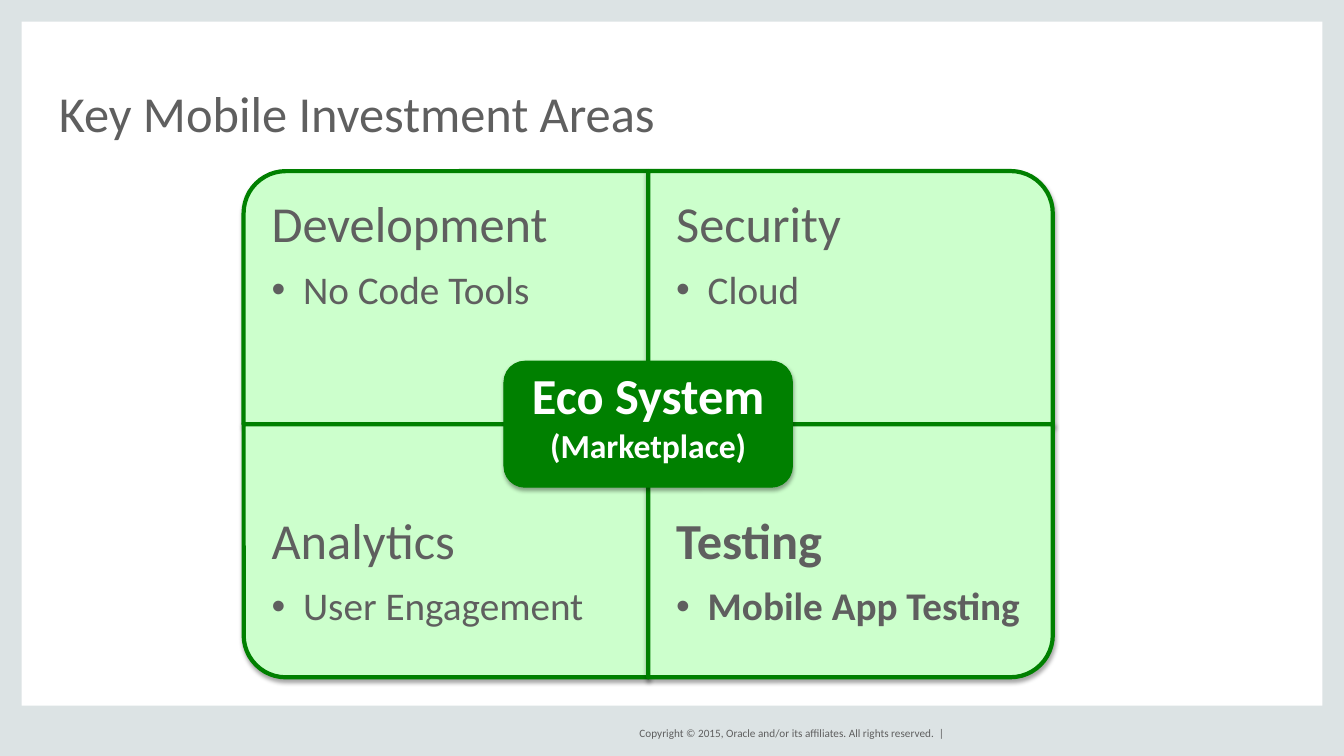
from lxml import etree
from pptx import Presentation
from pptx.dml.color import RGBColor
from pptx.enum.shapes import MSO_SHAPE
from pptx.enum.text import MSO_ANCHOR, MSO_AUTO_SIZE, PP_ALIGN
from pptx.oxml.ns import qn
from pptx.util import Pt

RECT = MSO_SHAPE.RECTANGLE
ROUND = MSO_SHAPE.ROUNDED_RECTANGLE
CORNER = MSO_SHAPE.ROUND_1_RECTANGLE
TOP, MID, BASE = MSO_ANCHOR.TOP, MSO_ANCHOR.MIDDLE, MSO_ANCHOR.BOTTOM
LEFT, CENTER, RIGHT = PP_ALIGN.LEFT, PP_ALIGN.CENTER, PP_ALIGN.RIGHT
NOFIT = MSO_AUTO_SIZE.NONE

WIDE, HIGH = 960, 540
GRAY, PALE, GREEN, LIME, WHITE = "5F5F5F", "DCE3E4", "008000", "CCFFCC", "FFFFFF"


def color(code):
    return RGBColor.from_string(code)


class Deck:
    font = "Calibri"

    def __init__(self):
        self.file = Presentation()
        self.file.slide_width = Pt(WIDE)
        self.file.slide_height = Pt(HIGH)
        self.slide = self.file.slides.add_slide(self.file.slide_layouts[5])

    def shape(self, kind, x, y, w, h, fill, line=None, width=0, turn=0):
        item = self.slide.shapes.add_shape(kind, Pt(x), Pt(y), Pt(w), Pt(h))
        item.shadow.inherit = False
        item.rotation = turn
        item.fill.solid()
        item.fill.fore_color.rgb = color(fill)
        if line:
            item.line.color.rgb = color(line)
            item.line.width = Pt(width)
        else:
            item.line.fill.background()
        return item

    def shade(self, item):
        effects = item._element.spPr.find(qn("a:effectLst"))
        outer = etree.SubElement(
            effects, qn("a:outerShdw"), blurRad=str(Pt(3.1)),
            dist=str(Pt(1.8)), dir="5400000", rotWithShape="0")
        tint = etree.SubElement(outer, qn("a:srgbClr"), val="000000")
        etree.SubElement(tint, qn("a:alpha"), val="35000")

    def box(self, x, y, w, h):
        return self.slide.shapes.add_textbox(Pt(x), Pt(y), Pt(w), Pt(h))

    def frame(self, item, inset=0, anchor=TOP, wrap=True):
        frame = item.text_frame
        frame.auto_size = NOFIT
        frame.word_wrap = wrap
        frame.vertical_anchor = anchor
        frame.margin_left = frame.margin_right = Pt(inset)
        frame.margin_top = frame.margin_bottom = Pt(inset)
        return frame

    def line(self, frame, text, size, code=GRAY, bold=False, align=LEFT,
             space=1, after=0, dot=False):
        first = frame.paragraphs[0]
        para = frame.add_paragraph() if first.runs else first
        para.alignment = align
        para.line_spacing = space
        para.space_after = Pt(after)
        if dot:
            props = para._p.get_or_add_pPr()
            props.set("marL", str(Pt(22.5)))
            props.set("indent", str(Pt(-22.5)))
            etree.SubElement(props, qn("a:buFont"), typeface="Arial")
            etree.SubElement(props, qn("a:buChar"), char="•")
        run = para.add_run()
        run.text = text
        run.font.name = self.font
        run.font.size = Pt(size)
        run.font.bold = bold
        run.font.color.rgb = color(code)

    def title(self, text, x, y, w, h):
        item = self.slide.shapes.title
        item.left, item.top, item.width, item.height = Pt(x), Pt(y), Pt(w), Pt(h)
        self.line(self.frame(item, anchor=BASE), text, 36, space=0.8)

    def panel(self, x, y, w, h, turn):
        if turn % 180:
            x, y, w, h = x + (w - h) / 2, y + (h - w) / 2, h, w
        self.shade(self.shape(CORNER, x, y, w, h, LIME, GREEN, 3, turn))

    def topic(self, x, y, w, h, head, point, bold):
        frame = self.frame(self.box(x, y, w, h), 20)
        self.line(frame, head, 36, bold=bold, space=0.9, after=12)
        self.line(frame, point, 28, bold=bold, space=0.9, dot=True)


def main():
    deck = Deck()
    edge = 15.4
    for x, y, w, h in (
        (0, 0, edge, HIGH),
        (WIDE - edge, 0, edge, HIGH),
        (0, 504, WIDE, 36),
        (0, 0, WIDE, edge),
    ):
        deck.shape(RECT, x, y, w, h, PALE)
    note = deck.frame(deck.box(423, 516.5, 252, 14.4), anchor=MID, wrap=False)
    deck.line(note, "Copyright © 2015, Oracle and/or its affiliates. "
              "All rights reserved.  |", 8, align=RIGHT)
    deck.title("Key Mobile Investment Areas", 42, 31.7, 876, 69.8)

    mid_x, mid_y = 463, 303
    wide, high, deep = 289, 180.8, 135.6
    areas = (
        (0, 0, 270, "Development", "No Code Tools", False),
        (1, 0, 0, "Security", "Cloud", False),
        (0, 1, 180, "Analytics", "User Engagement", False),
        (1, 1, 90, "Testing", "Mobile App Testing", True),
    )
    for col, row, turn, head, point, bold in areas:
        x = mid_x + (col - 1) * wide
        y = mid_y + (row - 1) * high
        deck.panel(x, y, wide, high, turn)
        deck.topic(x, y + row * (high - deep), wide, deep, head, point, bold)

    hub = deck.shape(ROUND, mid_x - 103, mid_y - 45, 206, 90, GREEN, GREEN, 0.75)
    deck.shade(hub)
    frame = deck.frame(hub, 11, MID)
    for text, size, after in (("Eco System", 36, 12), ("(Marketplace)", 24, 8)):
        deck.line(frame, text, size, WHITE, True, CENTER, 0.6, after)

    deck.file.save("out.pptx")


if __name__ == "__main__":
    main()
